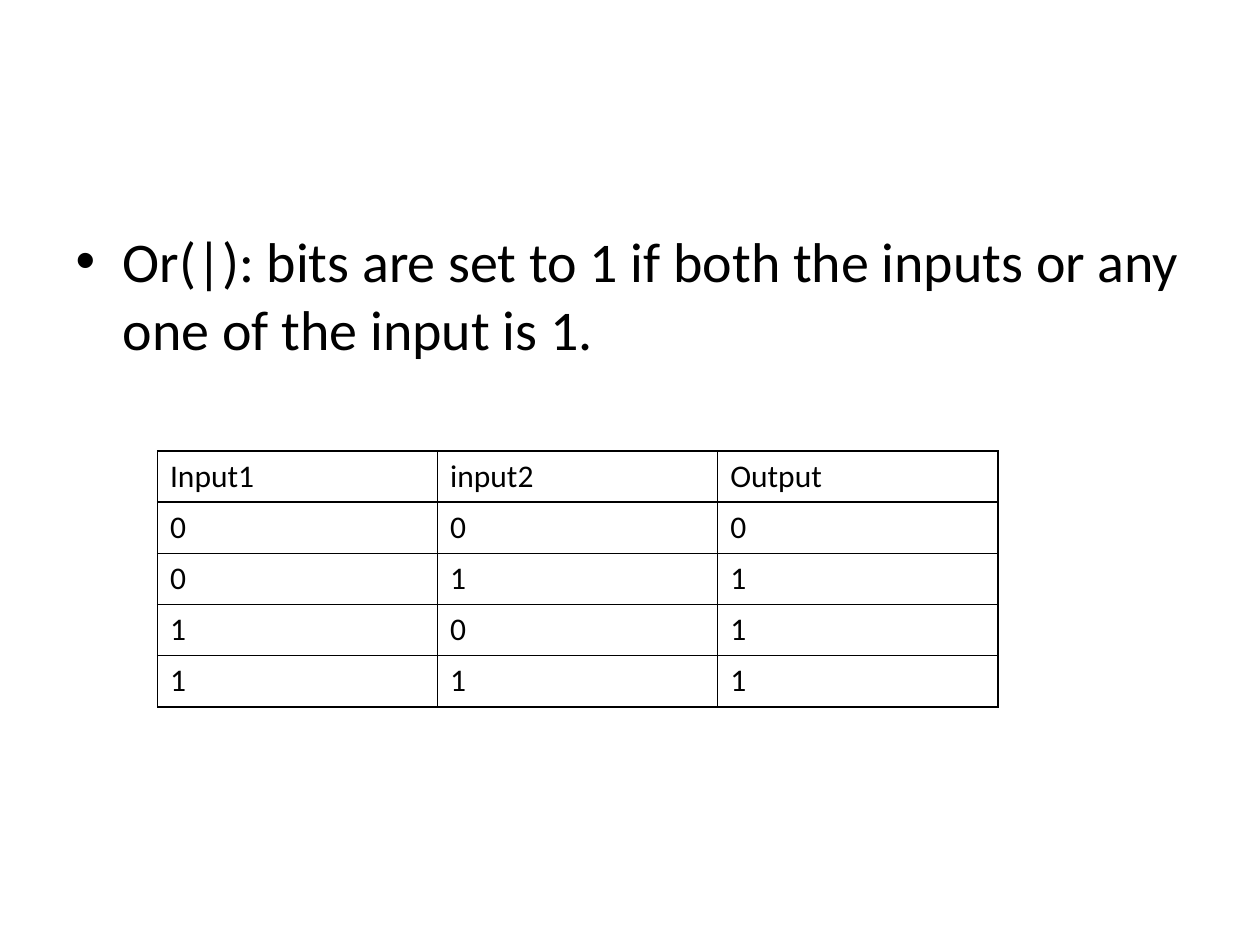
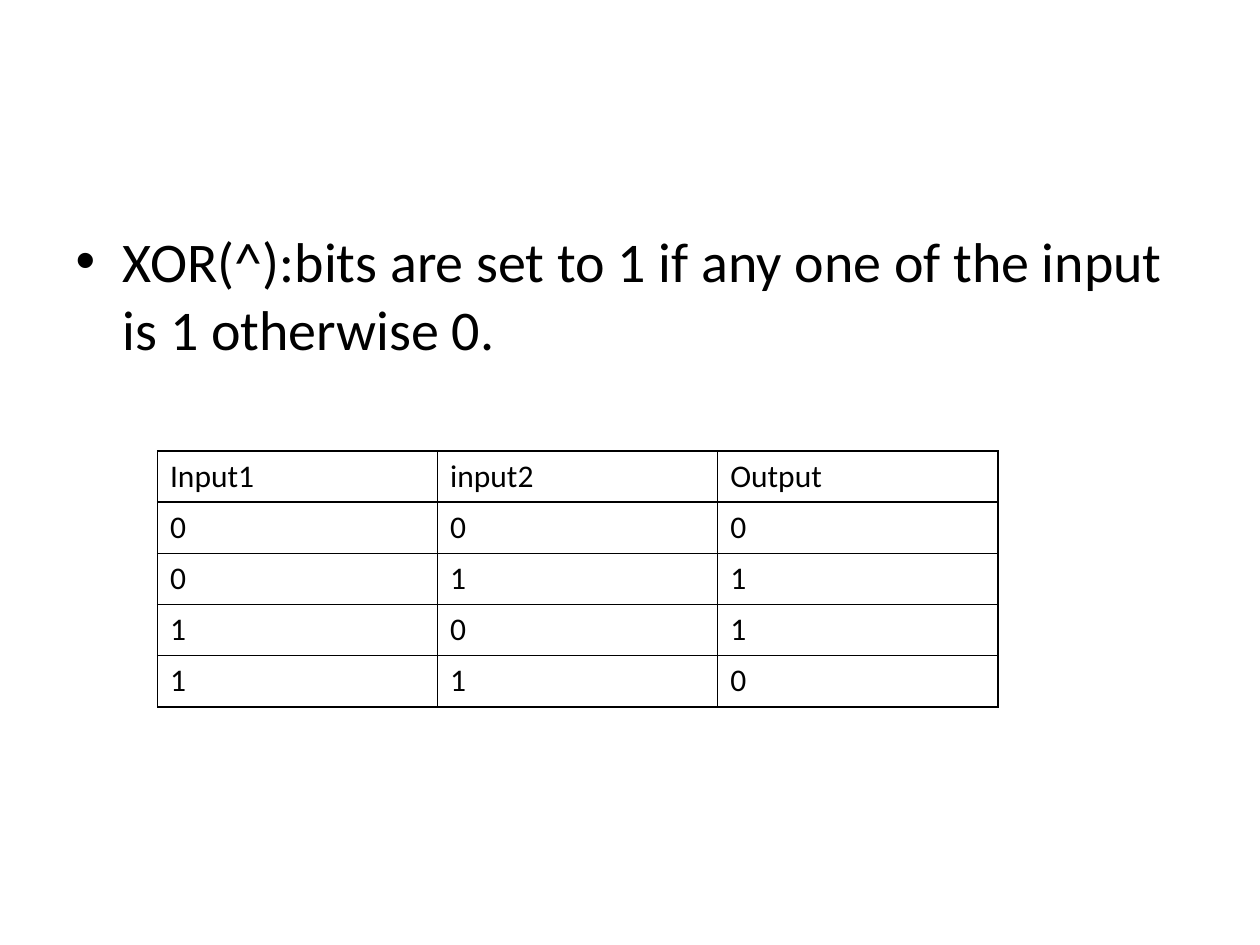
from itertools import product

from lxml import etree
from pptx import Presentation
from pptx.dml.color import RGBColor
from pptx.oxml.ns import qn
from pptx.util import Inches, Pt

CONTENT_LAYOUT = 1
BLACK = "000000"
WHITE = "FFFFFF"
BORDER_SIDES = ("a:lnL", "a:lnR", "a:lnT", "a:lnB")
HEADINGS = ("Input1", "input2", "Output")


def color(value):
    return RGBColor.from_string(value)


class TruthTableDeck:
    font_name = "Calibri"
    border_points = 1

    def __init__(self):
        self.deck = Presentation()
        self.deck.slide_width = Inches(10)
        self.deck.slide_height = Inches(7.5)
        self.page = None

    def add_page(self):
        self.page = self.deck.slides.add_slide(self.deck.slide_layouts[CONTENT_LAYOUT])
        fill = self.page.background.fill
        fill.solid()
        fill.fore_color.rgb = color(WHITE)
        title = self.page.shapes.title.element
        title.getparent().remove(title)

    def add_text(self, frame, text, points):
        span = frame.paragraphs[0].add_run()
        span.text = text
        for name, value in {"name": self.font_name, "size": Pt(points)}.items():
            setattr(span.font, name, value)
        span.font.color.rgb = color(BLACK)

    def add_definition(self, text):
        box = self.page.placeholders[1]
        position = {"left": 0.5, "top": 1.75, "width": 9, "height": 4.95}
        for name, value in position.items():
            setattr(box, name, Inches(value))
        self.add_text(box.text_frame, text, 32)

    def add_borders(self, cell):
        properties = cell._tc.get_or_add_tcPr()
        for index, side in enumerate(BORDER_SIDES):
            line = etree.Element(qn(side), w=str(Pt(self.border_points)))
            fill = etree.SubElement(line, qn("a:solidFill"))
            etree.SubElement(fill, qn("a:srgbClr"), val=BLACK)
            properties.insert(index, line)

    def add_truth_table(self, operation):
        inputs = product((0, 1), repeat=2)
        rows = [HEADINGS] + [(a, b, operation(a, b)) for a, b in inputs]
        table = self.page.shapes.add_table(
            len(rows), len(HEADINGS),
            Inches(1.25), Inches(3.58), Inches(6.67), Inches(2.03),
        ).table
        for name in ("first_row", "horz_banding"):
            setattr(table, name, False)
        for row, values in enumerate(rows):
            for column, value in enumerate(values):
                cell = table.cell(row, column)
                cell.fill.background()
                self.add_borders(cell)
                self.add_text(cell.text_frame, str(value), 18)


def main():
    slides = TruthTableDeck()
    operators = (
        ("Or(|): bits are set to 1 if both the inputs or any one of the input is 1.",
         lambda a, b: a | b),
        ("XOR(^):bits are set to 1 if any one of the input is 1 otherwise 0.",
         lambda a, b: a ^ b),
    )
    for definition, operation in operators:
        slides.add_page()
        slides.add_definition(definition)
        slides.add_truth_table(operation)
    slides.deck.save("out.pptx")


if __name__ == "__main__":
    main()
